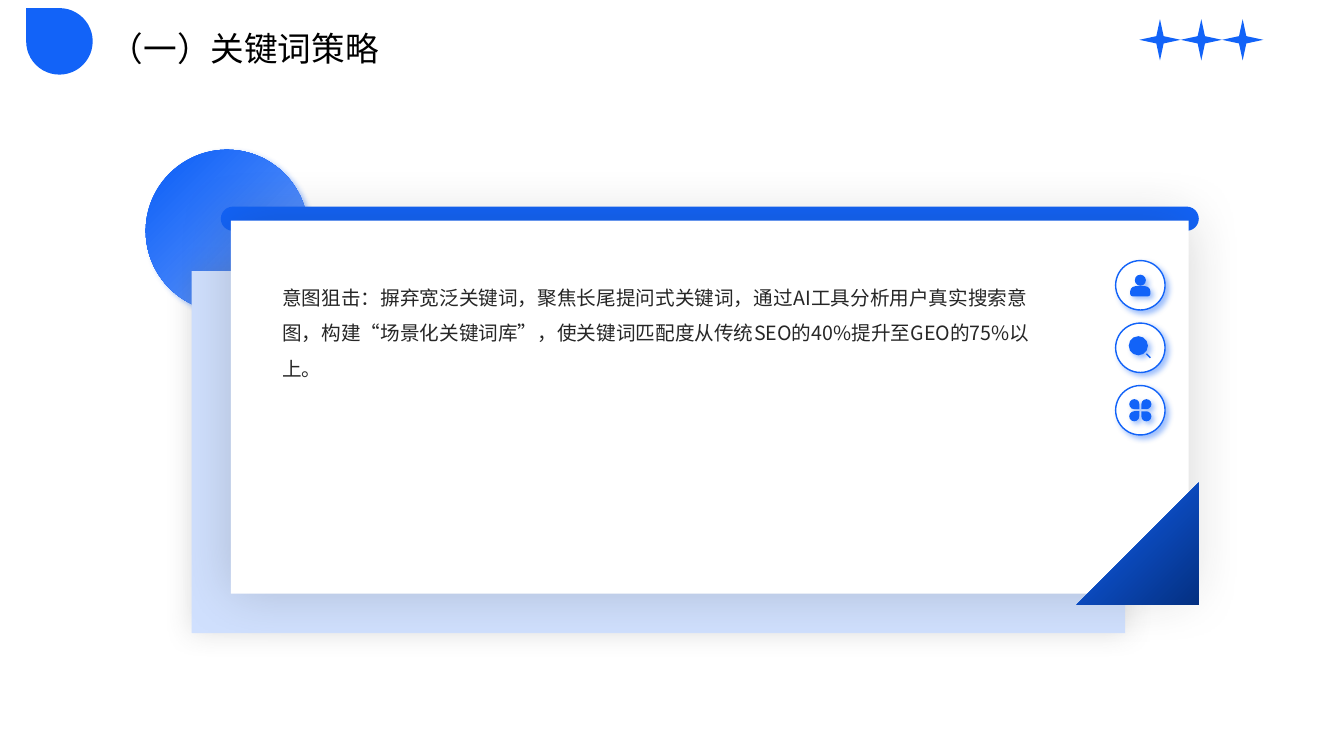
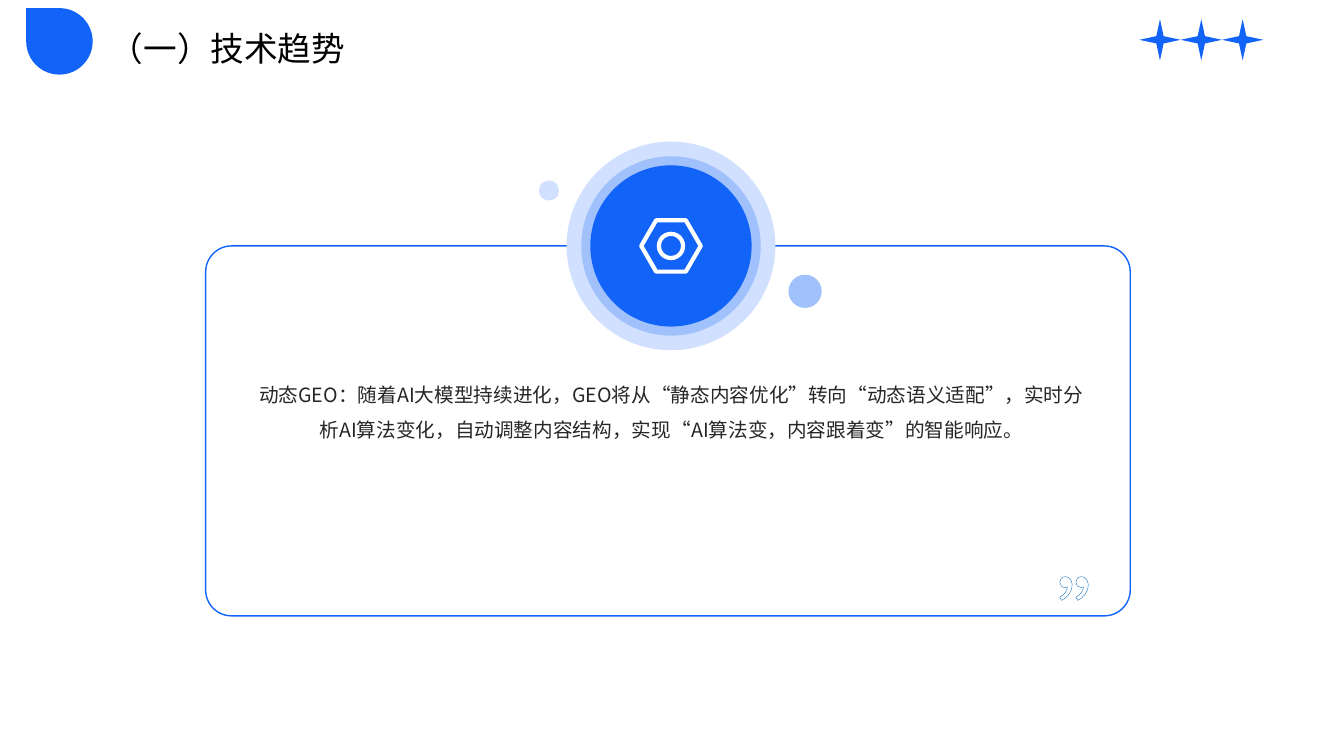
from lxml import etree
from pptx import Presentation
from pptx.dml.color import RGBColor
from pptx.enum.lang import MSO_LANGUAGE_ID as LANG
from pptx.enum.shapes import MSO_CONNECTOR, MSO_SHAPE as SHAPE
from pptx.enum.text import MSO_ANCHOR as ANCHOR, PP_ALIGN as ALIGN
from pptx.oxml.ns import qn
from pptx.util import Inches, Pt

FONT = "Noto Sans CJK SC"
BLUE, NAVY, SKY = "1263F8", "043081", "71A1FB"
PALE, MID = "D0E0FE", "A0C1FC"
WHITE, BLACK, INK, QUOTE_LINE = "FFFFFF", "000000", "262626", "0068BF"

# Shadows: colour, opacity %, blur pt, distance pt, direction degrees
GLOW = (BLUE, 40, 4, 3, 45)
SOFT = ("595959", 20, 20, 0, 0)
DEEP = (INK, 20, 40, 0, 0)


def rgb(value):
    return RGBColor.from_string(value)


def add_shadow(shape, color, opacity, blur, dist, angle):
    effects = shape._element.spPr.find(qn("a:effectLst"))
    outer = etree.SubElement(effects, qn("a:outerShdw"), blurRad=str(Pt(blur)),
                             dist=str(Pt(dist)), dir=str(angle * 60000),
                             algn="ctr", rotWithShape="0")
    clr = etree.SubElement(outer, qn("a:srgbClr"), val=color)
    etree.SubElement(clr, qn("a:alpha"), val=str(opacity * 1000))


def paint(shape, fill=None, line=None, width=1, shadow=None):
    """Fill is a colour, None, or (start %, start colour, end colour) for a diagonal gradient."""
    shape.shadow.inherit = False
    if fill is None:
        shape.fill.background()
    elif isinstance(fill, str):
        shape.fill.solid()
        shape.fill.fore_color.rgb = rgb(fill)
    else:
        start, first, last = fill
        shape.fill.gradient()
        shape.fill.gradient_angle = 315
        for stop, pos, color in zip(shape.fill.gradient_stops, (start / 100, 1), (first, last)):
            stop.position = pos
            stop.color.rgb = rgb(color)
    if line:
        shape.line.color.rgb = rgb(line)
        shape.line.width = Pt(width)
    else:
        shape.line.fill.background()
    if shadow:
        add_shadow(shape, *shadow)


def add_shape(s, kind, box, fill=None, rot=0, adj=(), **look):
    sp = s.shapes.add_shape(kind, *map(Inches, box))
    sp.rotation = rot
    for i, value in enumerate(adj):
        sp.adjustments[i] = value
    paint(sp, fill, **look)
    return sp


def add_disc(s, cx, cy, d, fill=None, **look):
    return add_shape(s, SHAPE.OVAL, (cx - d / 2, cy - d / 2, d, d), fill, **look)


def add_text(s, box, text, size, color, spacing, align=ALIGN.LEFT,
             anchor=ANCHOR.TOP, outline=None):
    tf = s.shapes.add_textbox(*map(Inches, box)).text_frame
    frame = dict(word_wrap=True, vertical_anchor=anchor, margin_left=0,
                 margin_right=0, margin_top=0, margin_bottom=0)
    p = tf.paragraphs[0]
    r = p.add_run()
    r.text = text
    font = dict(name=FONT, size=Pt(size), language_id=LANG.SIMPLIFIED_CHINESE)
    for target, values in ((tf, frame), (p, dict(alignment=align, line_spacing=spacing)),
                           (r.font, font)):
        for key, value in values.items():
            setattr(target, key, value)
    r.font.color.rgb = rgb(color)
    rPr = r.font._element
    rPr.find(qn("a:latin")).addnext(rPr.makeelement(qn("a:ea"), {"typeface": FONT}))
    if outline:
        ln = rPr.makeelement(qn("a:ln"), {"w": str(Pt(1))})
        rPr.insert(0, ln)
        etree.SubElement(etree.SubElement(ln, qn("a:solidFill")), qn("a:srgbClr"), val=outline)


def new_slide(prs, title):
    return prs.slides.add_slide(prs.slide_layouts[6]), title


def add_header(s, title):
    add_text(s, (1.09, 0.19, 8.51, 0.54), title, 24, BLACK, 1.1, anchor=ANCHOR.MIDDLE)
    add_shape(s, SHAPE.TEAR, (0.26, 0.08, 0.66, 0.66), BLUE, rot=270)
    for i in range(3):
        add_shape(s, SHAPE.STAR_4_POINT, (11.3 + 0.41 * i, 0.19, 0.41, 0.41), BLUE)


def person_icon(s, cx, cy):
    add_disc(s, cx, cy - 0.05, 0.11, BLUE, shadow=GLOW)
    add_shape(s, SHAPE.ROUND_2_SAME_RECTANGLE, (cx - 0.1, cy + 0.01, 0.2, 0.1), BLUE,
              adj=(0.5, 0.25), shadow=GLOW)


def search_icon(s, cx, cy):
    add_disc(s, cx - 0.02, cy - 0.02, 0.19, BLUE, shadow=GLOW)
    ends = (cx + 0.06, cy + 0.06, cx + 0.1, cy + 0.1)
    handle = s.shapes.add_connector(MSO_CONNECTOR.STRAIGHT, *map(Inches, ends))
    handle.line.color.rgb = rgb(BLUE)
    handle.line.width = Pt(1)
    etree.SubElement(handle._element.spPr, qn("a:effectLst"))


def clover_icon(s, cx, cy):
    petal, gap = 0.1, 0.02
    for dx, dy, rot in ((-1, -1, 90), (1, -1, 180), (-1, 1, 0), (1, 1, 270)):
        x, y = (c + d * (petal + gap) / 2 - petal / 2 for c, d in ((cx, dx), (cy, dy)))
        add_shape(s, SHAPE.TEAR, (x, y, petal, petal), BLUE, rot=rot, shadow=GLOW)


def nut_icon(s, cx, cy):
    w, h = 0.59, 0.51
    add_shape(s, SHAPE.HEXAGON, (cx - w / 2, cy - h / 2, w, h), adj=(0.29,),
              line=WHITE, width=3)
    add_disc(s, cx, cy, 0.24, line=WHITE, width=3)


def add_corner(s, right, bottom, side):
    builder = s.shapes.build_freeform(Inches(right), Inches(bottom - side))
    builder.add_line_segments([(Inches(right), Inches(bottom)),
                               (Inches(right - side), Inches(bottom))])
    paint(builder.convert_to_shape(), (0, BLUE, NAVY))


def add_layered_card(s, box, text):
    x, y, w, h = box
    add_disc(s, x - 0.04, y + 0.1, 1.61, (9, BLUE, SKY), shadow=GLOW)
    add_shape(s, SHAPE.ROUNDED_RECTANGLE, (x - 0.1, y - 0.14, w + 0.2, 0.24), BLUE, adj=(0.5,))
    add_shape(s, SHAPE.RECTANGLE, (x - 0.39, y + 0.5, w - 0.24, h - 0.11), PALE, shadow=SOFT)
    add_shape(s, SHAPE.RECTANGLE, box, WHITE, shadow=DEEP)
    add_text(s, (x + 0.51, y + 0.53, 7.44, 2.84), text, 14, INK, 1.5)
    for i, icon in enumerate((person_icon, search_icon, clover_icon)):
        cx, cy = x + w - 0.48, y + 0.64 + 0.62 * i
        add_disc(s, cx, cy, 0.49, WHITE, line=BLUE, shadow=GLOW)
        icon(s, cx, cy)
    add_corner(s, x + w + 0.1, y + h + 0.11, 1.21)


def add_badge_card(s, box, text):
    x, y, w, h = box
    cx = x + w / 2 + 0.03
    add_shape(s, SHAPE.ROUNDED_RECTANGLE, box, WHITE, adj=(0.07,), line=BLUE)
    for d, color in ((2.07, PALE), (1.78, MID), (1.6, BLUE)):
        add_disc(s, cx, y, d, color)
    nut_icon(s, cx, y)
    add_text(s, (x + 0.44, y + 1.24, 8.36, 2.21), text, 14, INK, 1.5, ALIGN.CENTER)
    add_text(s, (x + w - 0.73, y + h - 0.82, 0.72, 0.58), "”", 60, WHITE, 1.3,
             ALIGN.CENTER, outline=QUOTE_LINE)
    add_disc(s, cx - 1.21, y - 0.55, 0.2, PALE)
    add_disc(s, cx + 1.33, y + 0.45, 0.33, MID)


SLIDES = (
    ("（一）关键词策略", add_layered_card, (2.29, 2.19, 9.5, 3.7),
     "意图狙击：摒弃宽泛关键词，聚焦长尾提问式关键词，通过AI工具分析用户真实搜索意图，"
     "构建“场景化关键词库”，使关键词匹配度从传统SEO的40%提升至GEO的75%以上。"),
    ("（一）技术趋势", add_badge_card, (2.04, 2.44, 9.17, 3.67),
     "动态GEO：随着AI大模型持续进化，GEO将从“静态内容优化”转向“动态语义适配”，"
     "实时分析AI算法变化，自动调整内容结构，实现“AI算法变，内容跟着变”的智能响应。"),
)


def main():
    prs = Presentation()
    prs.slide_width, prs.slide_height = Inches(13.33), Inches(7.5)
    for title, add_card, box, text in SLIDES:
        s = prs.slides.add_slide(prs.slide_layouts[6])
        add_card(s, box, text)
        add_header(s, title)
    prs.save("out.pptx")


if __name__ == "__main__":
    main()
